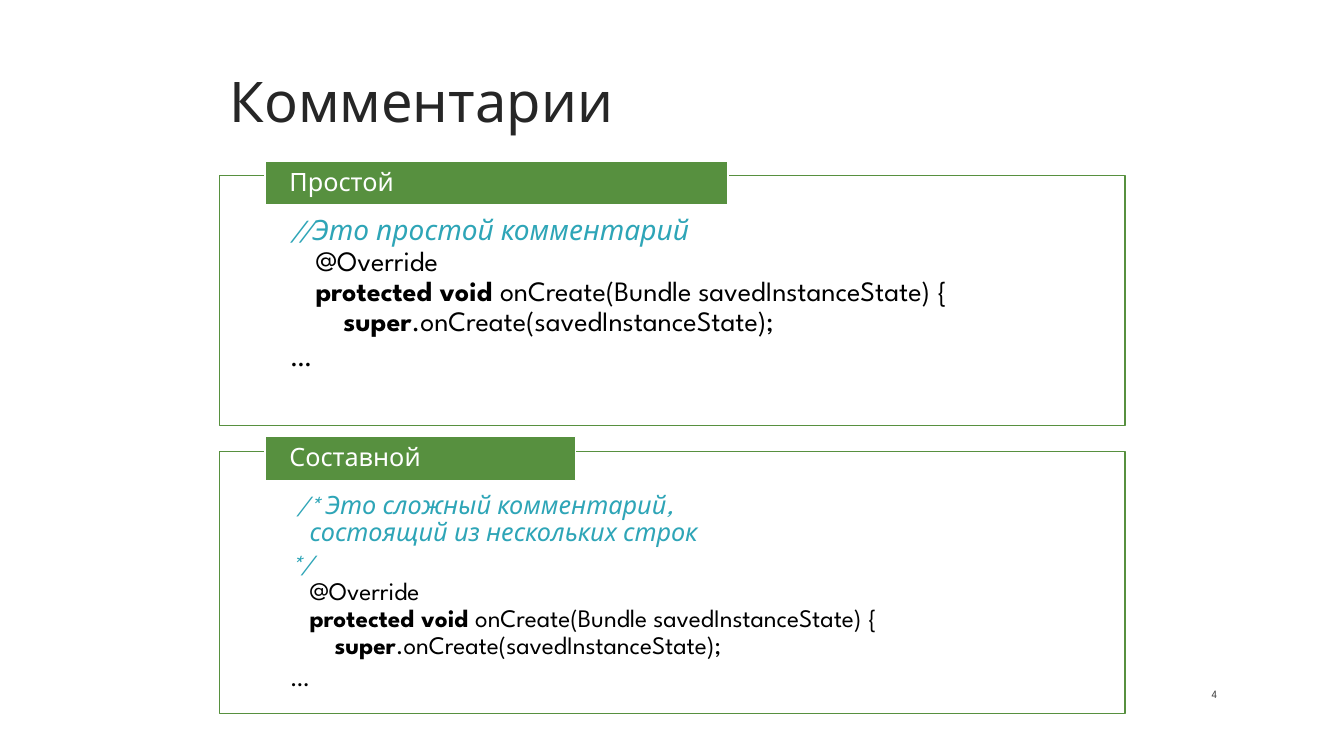
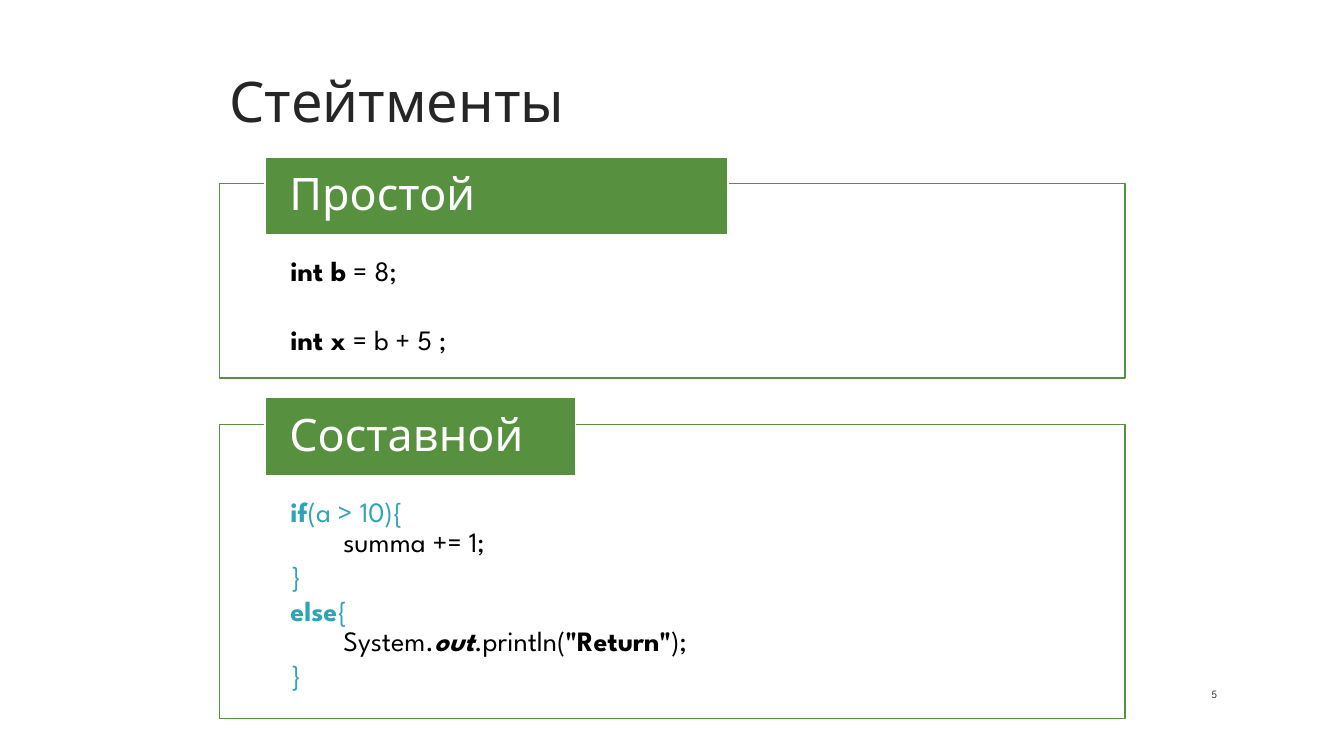
from pptx import Presentation
from pptx.dml.color import RGBColor
from pptx.enum.shapes import MSO_SHAPE
from pptx.enum.text import MSO_ANCHOR, PP_ALIGN
from pptx.util import Emu, Pt

PX = 9144  # 100 px to the inch
RECT = MSO_SHAPE.RECTANGLE
TOP, MIDDLE, BOTTOM = MSO_ANCHOR.TOP, MSO_ANCHOR.MIDDLE, MSO_ANCHOR.BOTTOM
LEFT, RIGHT = PP_ALIGN.LEFT, PP_ALIGN.RIGHT

FONT = "League Spartan"
WHITE = RGBColor(0xFF, 0xFF, 0xFF)
BLACK = RGBColor(0x00, 0x00, 0x00)
GREEN = RGBColor(0x57, 0x90, 0x3F)
TEAL = RGBColor(0x2E, 0xA5, 0xB7)
DARK = RGBColor(0x26, 0x26, 0x26)
GREY = RGBColor(0x40, 0x40, 0x40)

# Run styles
PLAIN = {"color": BLACK}
BOLD = {"color": BLACK, "bold": True}
BOLD_ITALIC = {"color": BLACK, "bold": True, "italic": True}
COMMENT = {"color": TEAL, "italic": True}
ACCENT = {"color": TEAL}
ACCENT_BOLD = {"color": TEAL, "bold": True}

# Code: a list of paragraphs, each a list of (text, style) runs
METHOD = [
    ("@Override\n", PLAIN),
    ("protected void ", BOLD),
    ("onCreate(Bundle savedInstanceState) {\n    ", PLAIN),
    ("super", BOLD),
    (".onCreate(savedInstanceState);", PLAIN),
]
DOTS = [("…", PLAIN)]
LINE_COMMENT = [[("//Это простой комментарий\n", COMMENT)] + METHOD, DOTS]
BLOCK_COMMENT = [
    [(" /* Это сложный комментарий,\nсостоящий из нескольких строк", COMMENT)],
    [("*/\n", COMMENT)] + METHOD,
    DOTS,
]
DECLARATIONS = [
    [("int b", BOLD), (" = 8;", PLAIN)],
    [("int x", BOLD), (" = b + 5 ;", PLAIN)],
]
BRANCHES = [
    [("if", ACCENT_BOLD), ("(a > 10){\n", ACCENT), ("    summa += 1;", PLAIN)],
    [("}", ACCENT)],
    [("else", ACCENT_BOLD), ("{\n    ", ACCENT), ("System.", PLAIN),
     ("out", BOLD_ITALIC), (".println(", PLAIN), ('"Return"', BOLD), (");", PLAIN)],
    [("}", ACCENT)],
]

# Panels: frame top and height, tag top and height, code inset, size, indent, gap
SLIDES = [
    {"title": "Комментарии", "number": "4", "tag_size": 18, "panels": [
        (174, 248, 160, 43, 41, 20, 25, 0, LINE_COMMENT),
        (448, 260, 433, 44, 41, 18, 19, 0, BLOCK_COMMENT)]},
    {"title": "Стейтменты", "number": "5", "tag_size": 32, "panels": [
        (182, 193, 156, 77, 73, 20, 25, 25, DECLARATIONS),
        (421, 292, 394, 78, 73, 20, 25, 0, BRANCHES)]},
]
TAGS = [("Простой", 459), ("Составной", 308)]


def add_box(s, box, fill=None, line=None):
    """Add a text box, or a rectangle when a fill is given."""
    box = [Emu(v * PX) for v in box]
    if fill is None:
        return s.shapes.add_textbox(*box)
    sp = s.shapes.add_shape(RECT, *box)
    sp.shadow.inherit = False
    sp.fill.solid()
    sp.fill.fore_color.rgb = fill
    sp.line.color.rgb = line
    sp.line.width = Pt(1)
    return sp


def write(sp, paragraphs, size, anchor, align=LEFT, insets=(10, 5, 10, 5),
          spacing=0.9, after=0, gap=0, indent=0):
    tf = sp.text_frame
    tf.word_wrap = True
    tf.vertical_anchor = anchor
    for side, inset in zip(("left", "top", "right", "bottom"), insets):
        setattr(tf, f"margin_{side}", Emu(inset * PX))
    for i, runs in enumerate(paragraphs):
        p = tf.add_paragraph() if i else tf.paragraphs[0]
        form = {"alignment": align, "line_spacing": spacing,
                "space_before": Pt(gap if i else 0), "space_after": Pt(after)}
        for name, value in form.items():
            setattr(p, name, value)
        if indent:
            pPr = p._p.get_or_add_pPr()
            pPr.set("marL", str(indent * PX))
            pPr.set("indent", str(-indent * PX))
        for text, style in runs:
            for j, part in enumerate(text.split("\n")):
                if j:
                    p.add_line_break()
                if not part:
                    continue
                r = p.add_run()
                r.text = part
                r.font.color.rgb = style["color"]
                look = {"name": FONT, "size": Pt(size),
                        "bold": style.get("bold", False),
                        "italic": style.get("italic", False)}
                for name, value in look.items():
                    setattr(r.font, name, value)


prs = Presentation()
prs.slide_width = Emu(1333 * PX)
prs.slide_height = Emu(750 * PX)

for content in SLIDES:
    s = prs.slides.add_slide(prs.slide_layouts[6])

    # Title
    sp = add_box(s, (218, -2, 507, 211))
    write(sp, [[(content["title"], {"color": DARK})]], 40, MIDDLE)

    # Framed code panels, each with a tag over its top edge
    for (tag, tag_width), panel in zip(TAGS, content["panels"]):
        top, height, tag_top, tag_height, inset, size, indent, gap, code = panel
        sp = add_box(s, (218, top, 898, height), WHITE, GREEN)
        write(sp, code, size, TOP, insets=(70, inset, 70, 14),
              after=3, gap=gap, indent=indent)
        sp = add_box(s, (263, tag_top, tag_width, tag_height), GREEN, WHITE)
        write(sp, [[(tag, {"color": WHITE})]], content["tag_size"], MIDDLE,
              insets=(24, 0, 24, 0))

    # Slide number
    sp = add_box(s, (1125, 660, 92, 40))
    write(sp, [[(content["number"], {"color": GREY})]], 8, BOTTOM, RIGHT, spacing=1.0)

prs.save("out.pptx")
